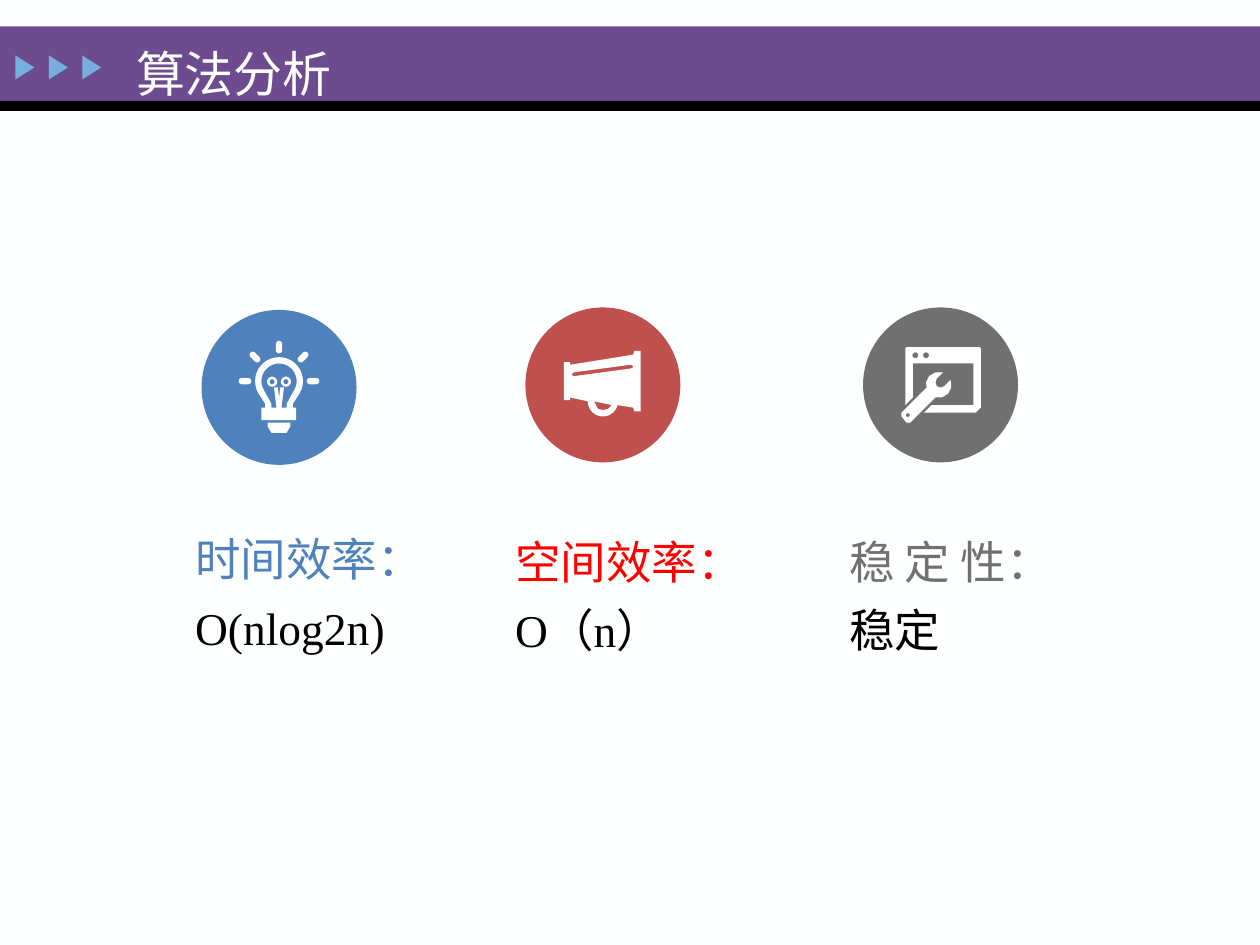
import math
import pptx
import pptx.util
import pptx.dml.color
import pptx.enum.shapes
import pptx.enum.text

HUE = {
    "page": "FEFFFF", "band": "6C4C8F", "black": "000000", "mark": "76AEDD",
    "white": "FFFFFF", "blue": "4F81BD", "brick": "C0504D", "red": "FF0000",
    "gray": "707070", "ash": "717171",
}
KIND = pptx.enum.shapes.MSO_SHAPE
FONT = "Times New Roman"
COLS, ROWS = 100, 75


def arc(x, y, r, start=0, end=360, n=24):
    turns = [math.radians(start + (end - start) * i / n) for i in range(n + 1)]
    return [(x + r * math.cos(t), y + r * math.sin(t)) for t in turns]


def ray(deg, x=0, y=-0.5):
    t = math.radians(deg)
    far, near = [(x + r * math.cos(t), y + r * math.sin(t)) for r in (2.95, 2.45)]
    return arc(*far, 0.25, deg - 90, deg + 90, 8) + arc(*near, 0.25, deg + 90, deg + 270, 8)


BULB = [ray(deg) for deg in range(180, 361, 45)] + [
    arc(0, -0.5, 1.9, 150, 390) + [(1.1, 1.3), (1.1, 1.6), (-1.1, 1.6), (-1.1, 1.3)],
    arc(0, -0.5, 1.4, 150, 390) + [(0.6, 1.3), (0.6, 1.6), (-0.6, 1.6), (-0.6, 1.3)],
    [(-1.4, 1.6), (1.35, 1.6), (1.35, 2.6), (-1.4, 2.6)],
    [(-0.9, 2.8), (0.9, 2.8), (0.9, 3.1), (0.6, 3.6), (-0.6, 3.6), (-0.9, 3.1)],
    [(-0.4, 0), (0.4, 0), (0.2, 1.6), (-0.2, 1.6)],
    [(-0.1, 0), (0.1, 0), (0, 0.8)],
] + [arc(x, -0.45, r) for x in (-0.55, 0.55) for r in (0.4, 0.2)]

HORN = [
    [(2.5, -2.7), (3, -2.7), (3, 2.1), (2.5, 2.1), (2.4, 1.8), (1.2, 1.6)]
    + arc(0, 1.3, 1.2, 15, 180)
    + [(-2.6, 1), (-2.6, 1.2), (-3.1, 1.2), (-3.1, -1.8), (-2.6, -1.8),
       (-2.6, -1.6), (2.4, -2.4)],
    [(-0.7, 1.3), (0.7, 1.6), (0.4, 1.9), (0, 2), (-0.4, 1.9)],
    [(-2.3, -1), (2.2, -1.6), (2.4, -1.5), (2.4, -1.4), (2.2, -1.3),
     (-2.3, -0.7), (-2.5, -0.8)],
]

TOOL = [
    [(-2.8, -2.9), (-2.7, -3), (3.1, -3), (3.2, -2.9), (3.2, 1.8), (2.8, 2.2),
     (-1.3, 2.2), (-0.7, 1.6), (2.6, 1.6), (2.6, -1.7), (-2.2, -1.7),
     (-2.2, 1), (-2.8, 1.6)],
    arc(-2, -2.35, 0.23), arc(-1.15, -2.35, 0.23),
    [(0.6, 0.7), (0.85, 0.2), (0.8, -0.4), (0.3, 0.1), (0, 0.22), (-0.3, 0.1),
     (-0.4, -0.2), (-0.3, -0.5), (0.2, -1), (-0.4, -1), (-0.9, -0.7),
     (-1.15, -0.2), (-1.1, 0.2), (-3.1, 2.2), (-3.1, 2.5), (-2.7, 3),
     (-2.4, 3), (-0.4, 1), (0.1, 1)],
    arc(-2.6, 2.4, 0.15),
]


class Deck:
    def __init__(self):
        self.file = pptx.Presentation()
        self.file.slide_width = pptx.util.Inches(10)
        self.file.slide_height = pptx.util.Inches(7.5)
        self.slide = self.file.slides.add_slide(self.file.slide_layouts[5])
        self.paint(self.slide.background.fill, "page")

    def paint(self, fill, hue):
        fill.solid()
        fill.fore_color.rgb = self.rgb(hue)

    def rgb(self, hue):
        return pptx.dml.color.RGBColor.from_string(HUE[hue])

    def across(self, col):
        return round(self.file.slide_width * col / COLS)

    def down(self, row):
        return round(self.file.slide_height * row / ROWS)

    def frame(self, x, y, w, h):
        return self.across(x), self.down(y), self.across(w), self.down(h)

    def finish(self, item, hue):
        item.shadow.inherit = False
        self.paint(item.fill, hue)
        item.line.fill.background()

    def shape(self, kind, box, hue, turn=0):
        item = self.slide.shapes.add_shape(kind, *self.frame(*box))
        item.rotation = turn
        self.finish(item, hue)

    def icon(self, x, y, loops, hue):
        pen = None
        for loop in loops:
            dots = [(self.across(x + a), self.down(y + b)) for a, b in loop]
            if pen is None:
                pen = self.slide.shapes.build_freeform(*dots[0], scale=1.0)
            else:
                pen.move_to(*dots[0])
            pen.add_line_segments(dots[1:], close=True)
        self.finish(pen.convert_to_shape(), hue)

    def style(self, para, size):
        para.line_spacing = 1.25
        para.alignment = pptx.enum.text.PP_ALIGN.LEFT
        para.font.size = pptx.util.Pt(size)
        para.font.name = FONT

    def title(self, words, box):
        item = self.slide.shapes.title
        item.left, item.top, item.width, item.height = self.frame(*box)
        item.text_frame.text = words
        item.text_frame.auto_size = pptx.enum.text.MSO_AUTO_SIZE.NONE
        item.text_frame.vertical_anchor = pptx.enum.text.MSO_ANCHOR.TOP
        para = item.text_frame.paragraphs[0]
        self.style(para, 28)
        para.font.color.rgb = self.rgb("page")
        self.slide.shapes._spTree.append(item._element)

    def note(self, box, head, value, hue):
        body = self.slide.shapes.add_textbox(*self.frame(*box)).text_frame
        body.word_wrap = True
        body.margin_right = 0
        para = body.paragraphs[0]
        self.style(para, 26)
        for words, tint in ((head, hue), (value, "black")):
            if para.runs:
                para.add_line_break()
            run = para.add_run()
            run.text = words
            run.font.size = pptx.util.Pt(26)
            run.font.color.rgb = self.rgb(tint)


def main():
    deck = Deck()
    deck.shape(KIND.RECTANGLE, (0, 2.1, COLS, 5.9), "band")
    deck.shape(KIND.RECTANGLE, (0, 8, COLS, 0.8), "black")
    for i in range(3):
        deck.shape(KIND.ISOSCELES_TRIANGLE, (1.03 + 2.65 * i, 4.6, 1.9, 1.5), "mark", 90)
    deck.title("算法分析", (9.8, 1.8, 26.7, 5.8))

    disc = 12.3
    items = (
        (22.15, 30.75, BULB, "blue", 14.5, 40.6, "时间效率：", "O(nlog2n)", "blue"),
        (47.85, 30.55, HORN, "brick", 39.9, 40.8, "空间效率：", "O（n）", "red"),
        (74.65, 30.55, TOOL, "gray", 66.4, 40.8, "稳 定 性：", "稳定", "ash"),
    )
    for x, y, loops, hue, left, top, head, value, tint in items:
        deck.shape(KIND.OVAL, (x - disc / 2, y - disc / 2, disc, disc), hue)
        deck.icon(x, y, loops, "white")
        deck.note((left, top, 19.5, 11.9), head, value, tint)
    deck.file.save("out.pptx")


if __name__ == "__main__":
    main()
